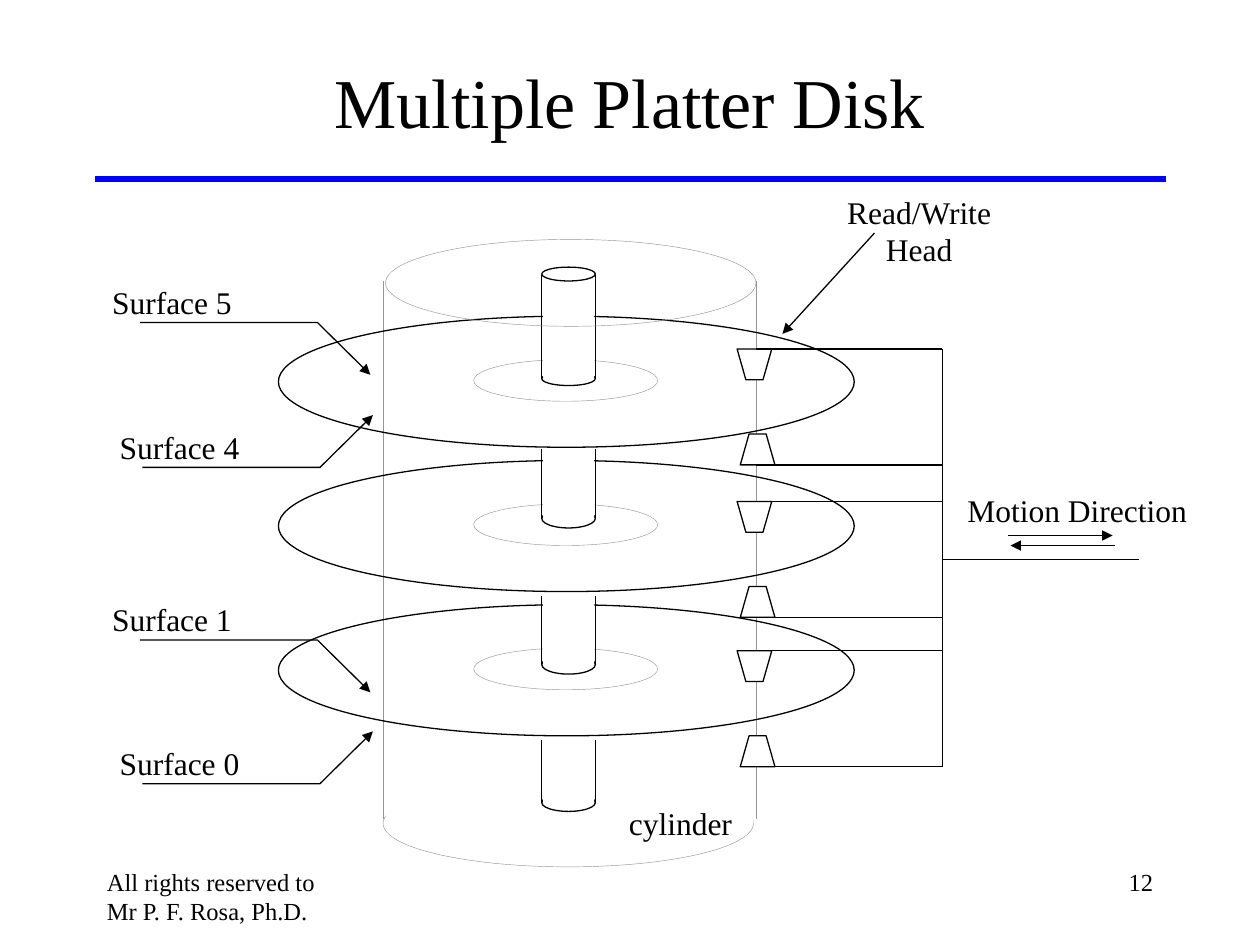
from dataclasses import dataclass
from typing import Optional

from lxml.etree import SubElement
from pptx import Presentation
from pptx.dml.color import RGBColor
from pptx.enum.shapes import MSO_CONNECTOR as Connector, MSO_SHAPE as Shape
from pptx.enum.text import MSO_ANCHOR as Anchor, PP_ALIGN as Align
from pptx.oxml.ns import qn
from pptx.util import Inches, Pt

# The slide is a grid of 100 columns by 75 rows
WIDTH, HEIGHT = Inches(10), Inches(7.5)
COLUMN, ROW = WIDTH / 100, HEIGHT / 75

BLACK = RGBColor(0x00, 0x00, 0x00)
GREY = RGBColor(0x96, 0x96, 0x96)
WHITE = RGBColor(0xFF, 0xFF, 0xFF)
BLUE = RGBColor(0x00, 0x00, 0xFF)
FONT = "Times New Roman"

Point = tuple[float, float]


@dataclass(frozen=True)
class Pen:
    color: RGBColor
    points: float


SOLID = Pen(BLACK, 0.75)
FAINT = Pen(GREY, 0.25)
RULE = Pen(BLUE, 3)


@dataclass(frozen=True)
class Spindle:
    side_top: float
    mask_top: float
    base_top: float
    base_height: float


@dataclass(frozen=True)
class Callout:
    text: str
    label_left: float
    shelf_left: float
    shelf_top: float
    direction: int  # 1 points down, -1 points up


TOP_SPINDLE = Spindle(21.8, 22.5, 29.5, 1.1)
LOWER_SPINDLES = [
    Spindle(35.6, 34.6, 40.4, 1.5),
    Spindle(47.3, 46.3, 52, 1.5),
    Spindle(58.7, 57.8, 63, 1.4),
]
CALLOUTS = [
    Callout("Surface 0", 8.5, 11.3, 62.2, -1),
    Callout("Surface 1", 7.9, 11.1, 50.8, 1),
    Callout("Surface 4", 8.5, 11.3, 37.1, -1),
    Callout("Surface 5", 7.9, 11.1, 25.6, 1),
]
FIRST_PLATTER, PLATTER_STEP = 25.1, 11.45
HEAD_PAIRS, PAIR_HEIGHT = [27.7, 39.8, 51.65], 9.2
CYLINDER_LEFT, CYLINDER_RIGHT = 30.4, 60
SPINDLE_LEFT, SPINDLE_WIDTH = 43, 4.25
ARM_RIGHT = 74.8

presentation = Presentation()
presentation.slide_width, presentation.slide_height = WIDTH, HEIGHT
slide = presentation.slides.add_slide(presentation.slide_layouts[6])
shapes = slide.shapes


def x(columns: float) -> int:
    return round(columns * COLUMN)


def y(rows: float) -> int:
    return round(rows * ROW)


def apply_pen(line, pen: Pen, arrow: Optional[str] = None) -> None:
    """Style a line; arrow is headEnd (at its start) or tailEnd."""
    line.color.rgb = pen.color
    line.width = Pt(pen.points)
    if arrow:
        SubElement(line._get_or_add_ln(), qn(f"a:{arrow}"), type="triangle")


def add_line(start: Point, end: Point, pen: Pen = SOLID, arrow: Optional[str] = None) -> None:
    connector = shapes.add_connector(Connector.STRAIGHT, x(start[0]), y(start[1]), x(end[0]), y(end[1]))
    apply_pen(connector.line, pen, arrow)
    SubElement(connector._element.spPr, qn("a:effectLst"))


def finish(shape, pen: Optional[Pen], fill: Optional[RGBColor], arrow: Optional[str] = None) -> None:
    shape.shadow.inherit = False
    if fill is None:
        shape.fill.background()
    else:
        shape.fill.solid()
        shape.fill.fore_color.rgb = fill
    if pen is None:
        shape.line.fill.background()
    else:
        apply_pen(shape.line, pen, arrow)


def add_preset(kind: Shape, left: float, top: float, width: float, height: float,
               pen: Optional[Pen] = SOLID, fill: Optional[RGBColor] = None) -> None:
    finish(shapes.add_shape(kind, x(left), y(top), x(width), y(height)), pen, fill)


def add_outline(points: list[Point], closed: bool, fill: Optional[RGBColor] = None,
                arrow: Optional[str] = None) -> None:
    first, *rest = [(x(column), y(row)) for column, row in points]
    builder = shapes.build_freeform(*first)
    builder.add_line_segments(rest, close=closed)
    finish(builder.convert_to_shape(), SOLID, fill, arrow)


def add_text(lines: list[str], left: float, top: float, width: float, height: float, size: float = 18,
             align: Align = Align.CENTER, anchor: Anchor = Anchor.TOP, wrap: bool = False) -> None:
    frame = shapes.add_textbox(x(left), y(top), x(width), y(height)).text_frame
    frame.word_wrap = wrap
    frame.vertical_anchor = anchor
    for index, text in enumerate(lines):
        paragraph = frame.add_paragraph() if index else frame.paragraphs[0]
        paragraph.alignment = align
        run = paragraph.add_run()
        run.text = text
        run.font.name = FONT
        run.font.size = Pt(size)
        run.font.color.rgb = BLACK


def add_spindle(spindle: Spindle) -> None:
    middle = spindle.base_top + spindle.base_height / 2
    add_preset(Shape.OVAL, SPINDLE_LEFT, spindle.base_top, SPINDLE_WIDTH, spindle.base_height, fill=WHITE)
    for side in (SPINDLE_LEFT, SPINDLE_LEFT + SPINDLE_WIDTH):
        add_line((side, spindle.side_top), (side, middle))
    # White core hides the back half of the base and the platter edge
    add_preset(Shape.RECTANGLE, SPINDLE_LEFT + 0.1, spindle.mask_top, SPINDLE_WIDTH - 0.2,
               middle - 0.1 - spindle.mask_top, pen=None, fill=WHITE)


def add_platter(top: float) -> None:
    add_preset(Shape.OVAL, 37.6, top + 3.45, 14.6, 3.3, pen=FAINT)
    add_preset(Shape.OVAL, 22.1, top, 45.7, 10.4)


def add_head(left: float, arm: float, direction: int) -> None:
    tip = arm + direction * 2.45
    add_outline([(left, arm), (left + 0.7, tip), (left + 2.05, tip), (left + 2.75, arm)], True, WHITE)
    add_line((CYLINDER_RIGHT, arm), (ARM_RIGHT, arm))


def add_callout(callout: Callout) -> None:
    elbow = callout.shelf_left + 14.1
    tip = (elbow + 4.2, callout.shelf_top + callout.direction * 4.15)
    add_outline([tip, (elbow, callout.shelf_top), (callout.shelf_left, callout.shelf_top)],
                False, arrow="headEnd")
    add_text([callout.text], callout.label_left, callout.shelf_top - 3.65, 11.5, 4)


# Title, rule and footer
add_line((7.5, 14.2), (92.5, 14.2), RULE)
add_text(["All rights reserved to Mr P. F. Rosa, Ph.D."], 7.5, 68.3, 20.8, 5, 14, Align.LEFT, wrap=True)
add_text(["12"], 71.7, 68.3, 20.8, 5, 14, Align.RIGHT, wrap=True)
add_text(["Multiple Platter Disk"], 7.5, 1.7, 85, 12.5, 40, anchor=Anchor.MIDDLE, wrap=True)

# Cylinder sides and base
for side in (CYLINDER_RIGHT, CYLINDER_LEFT):
    add_line((side, 22.3), (side, 65), FAINT)
add_preset(Shape.OVAL, CYLINDER_LEFT, 61.9, 29.4, 6.9, FAINT, WHITE)
add_preset(Shape.RECTANGLE, 30.6, 22.5, 29.2, 42.9, None, WHITE)

# Platters and spindle, from the bottom up
for level in reversed(range(len(LOWER_SPINDLES))):
    add_spindle(LOWER_SPINDLES[level])
    add_platter(FIRST_PLATTER + level * PLATTER_STEP)
add_spindle(TOP_SPINDLE)
add_preset(Shape.OVAL, SPINDLE_LEFT, 21.2, SPINDLE_WIDTH, 1.1, fill=WHITE)

# Read/write heads on their common arm
for upper_arm in HEAD_PAIRS:
    add_head(58.5, upper_arm, 1)
    add_head(58.75, upper_arm + PAIR_HEIGHT, -1)
add_line((ARM_RIGHT, HEAD_PAIRS[0]), (ARM_RIGHT, HEAD_PAIRS[-1] + PAIR_HEIGHT))
add_line((ARM_RIGHT, 44.4), (90.4, 44.4))

# Motion direction
add_text(["Motion Direction"], 75.8, 38.5, 19.4, 4)
add_line((80, 42.5), (88.3, 42.5), arrow="tailEnd")
add_line((80.2, 43.3), (88.5, 43.3), arrow="headEnd")

# Labels
for surface in CALLOUTS:
    add_callout(surface)
add_text(["cylinder"], 48.9, 63.3, 10.2, 4)
add_line((62.1, 26.5), (69.4, 18.5), arrow="headEnd")
add_text(["Read/Write", "Head"], 66.2, 14.8, 13.5, 7)

# Cylinder top
add_preset(Shape.OVAL, 30.6, 19, 29.4, 6.9, FAINT)

presentation.save("out.pptx")
